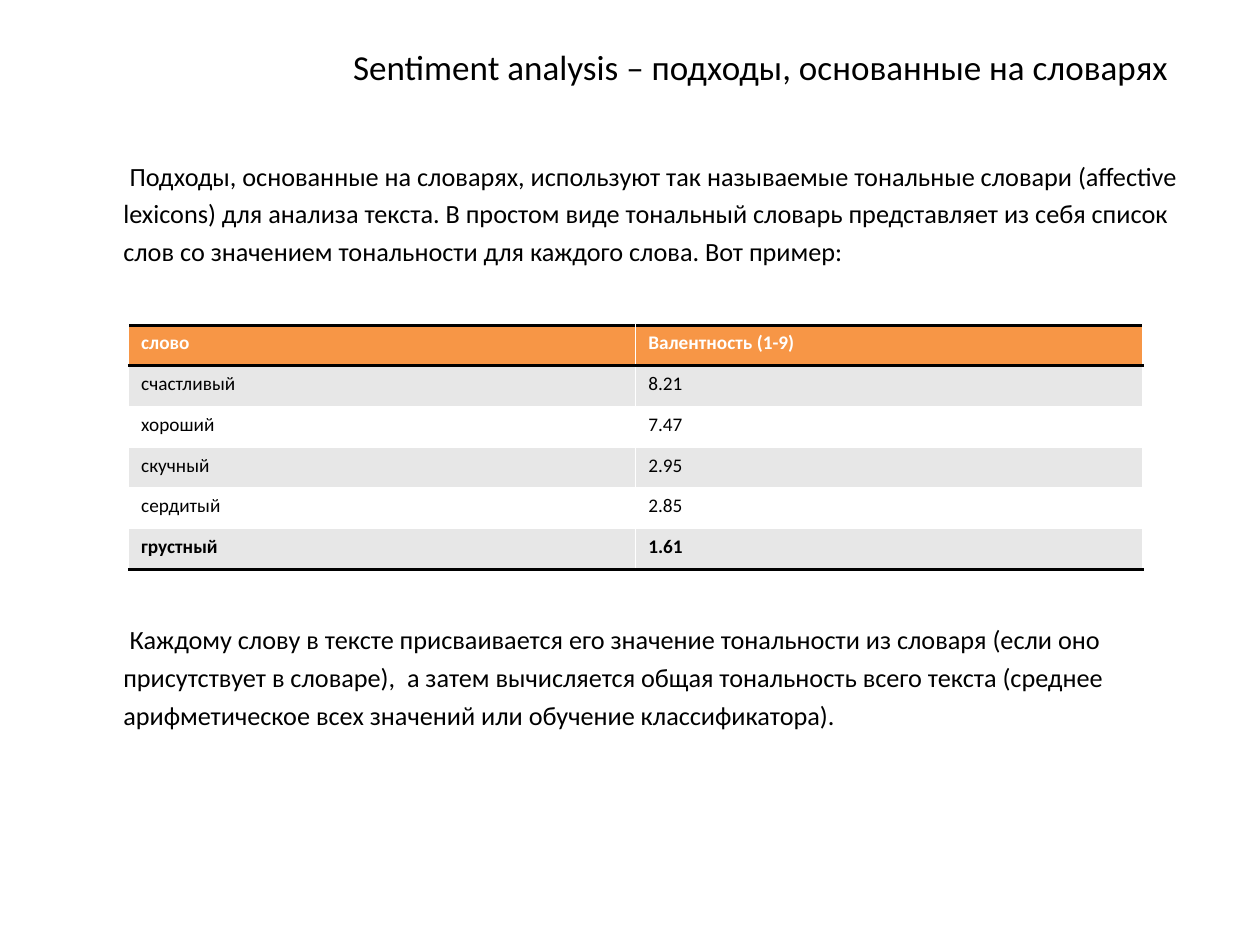
import pptx
import pptx.dml.color
import pptx.enum.text
import pptx.util
from lxml import etree
from pptx.oxml.ns import qn

Inches, Pt = pptx.util.Inches, pptx.util.Pt
RGBColor = pptx.dml.color.RGBColor

BLACK = RGBColor(0x00, 0x00, 0x00)
WHITE = RGBColor(0xFF, 0xFF, 0xFF)
ORANGE = RGBColor(0xF7, 0x96, 0x46)
GREY = RGBColor(0xE7, 0xE7, 0xE7)
FONT = "Calibri"

TITLE = "Sentiment analysis – подходы, основанные на словарях"
INTRO = (
    "Подходы, основанные на словарях, используют так называемые тональные "
    "словари (affective lexicons) для анализа текста. В простом виде тональный "
    "словарь представляет из себя список слов со значением тональности для "
    "каждого слова. Вот пример:"
)
SCORING = (
    "Каждому слову в тексте присваивается его значение тональности из словаря "
    "(если оно присутствует в словаре),  а затем вычисляется общая тональность "
    "всего текста (среднее арифметическое всех значений или обучение "
    "классификатора)."
)
LEXICON = [
    ("слово", "Валентность (1-9)"),
    ("счастливый", "8.21"),
    ("хороший", "7.47"),
    ("скучный", "2.95"),
    ("сердитый", "2.85"),
    ("грустный", "1.61"),
]


def style(paragraph, size, color=BLACK, bold=False):
    font = paragraph.font
    font.name, font.size, font.bold = FONT, Pt(size), bold
    font.color.rgb = color


def add_text(slide, text, left, top, width, height, size):
    box = slide.shapes.add_textbox(*map(Inches, (left, top, width, height)))
    box.text_frame.word_wrap = True
    paragraph = box.text_frame.paragraphs[0]
    paragraph.text = text
    style(paragraph, size)
    return paragraph


def add_body(slide, text, top):
    paragraph = add_text(slide, text, 0.88, top, 8.62, 1.05, 15)
    paragraph.line_spacing = 1.2
    paragraph._p.get_or_add_pPr().set("indent", str(Inches(0.05)))


def add_rule(cell, side):
    """Draw a 2 pt black border on the top ("T") or bottom ("B") of a cell."""
    line = etree.SubElement(
        cell._tc.get_or_add_tcPr(), qn(f"a:ln{side}"), w=str(Pt(2))
    )
    fill = etree.SubElement(line, qn("a:solidFill"))
    etree.SubElement(fill, qn("a:srgbClr"), val=str(BLACK))


def add_lexicon(slide):
    last = len(LEXICON) - 1
    table = slide.shapes.add_table(
        len(LEXICON), 2, Inches(1.02), Inches(2.58), Inches(8.05), Inches(1.94)
    ).table
    for r, entry in enumerate(LEXICON):
        header = r == 0
        for c, text in enumerate(entry):
            cell = table.cell(r, c)
            cell.text = text
            style(cell.text_frame.paragraphs[0], 11,
                  WHITE if header else BLACK, r in (0, last))
            if header:
                add_rule(cell, "T")
            if r in (0, last):
                add_rule(cell, "B")
            cell.fill.solid()
            cell.fill.fore_color.rgb = ORANGE if header else GREY if r % 2 else WHITE


def main():
    deck = pptx.Presentation()
    deck.slide_width, deck.slide_height = Inches(10), Inches(7.5)
    slide = deck.slides.add_slide(deck.slide_layouts[6])
    title = add_text(slide, TITLE, 0.39, 0.31, 8.98, 0.77, 20)
    title.alignment = pptx.enum.text.PP_ALIGN.RIGHT
    add_body(slide, INTRO, 1.17)
    add_lexicon(slide)
    add_body(slide, SCORING, 4.85)
    deck.save("out.pptx")


if __name__ == "__main__":
    main()
